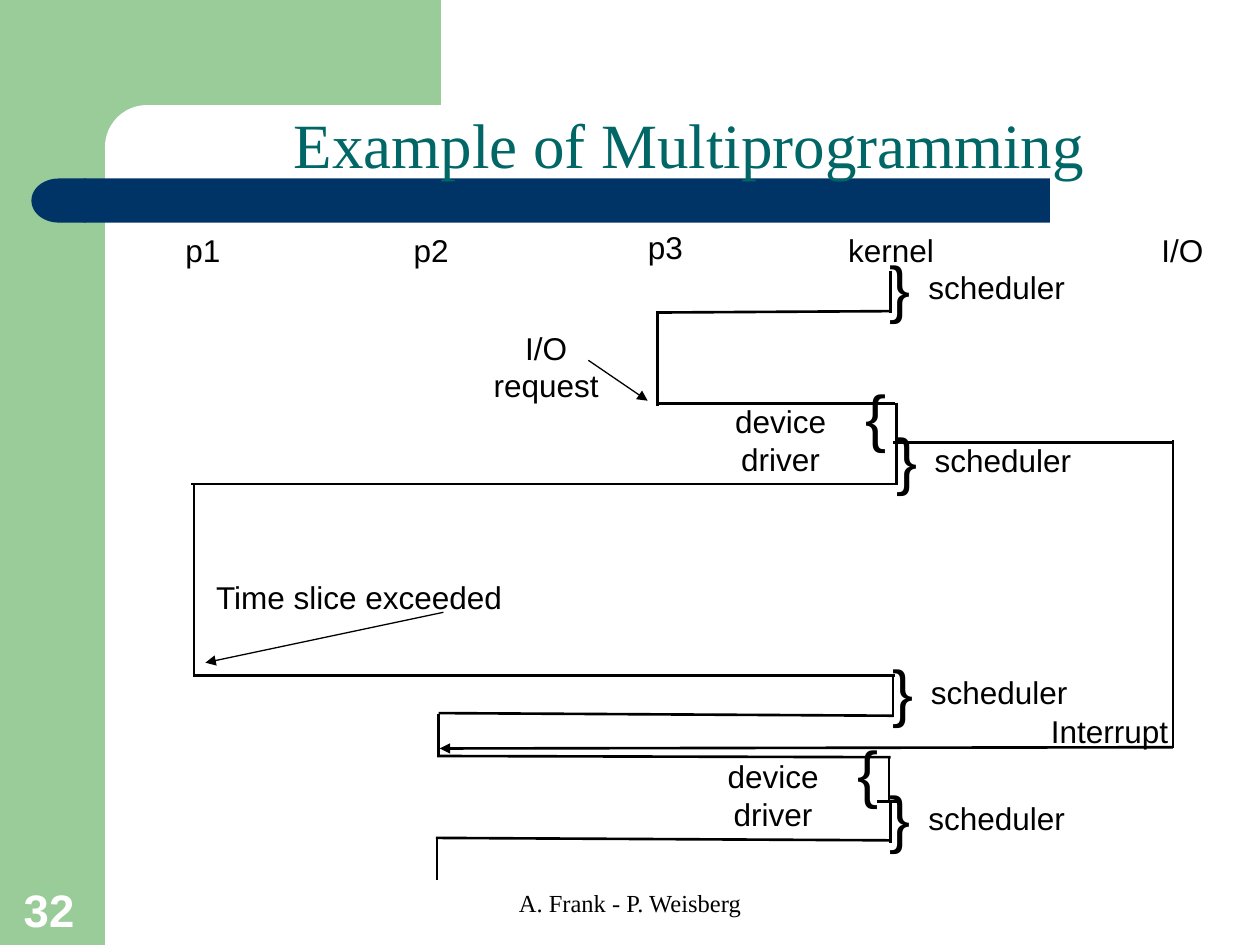
from pptx import Presentation
from pptx import util as u
from pptx.dml.color import RGBColor
from pptx.enum import shapes, text
from pptx.oxml.ns import qn
from lxml import etree

BLACK = RGBColor(0x00, 0x00, 0x00)
WHITE = RGBColor(0xFF, 0xFF, 0xFF)
GREEN = RGBColor(0x99, 0xCC, 0x99)
NAVY = RGBColor(0x00, 0x33, 0x66)
TEAL = RGBColor(0x00, 0x66, 0x66)
SERIF, SANS = "Times New Roman", "Arial"
LEFT, CENTER = text.PP_ALIGN.LEFT, text.PP_ALIGN.CENTER
TOP, BOTTOM = text.MSO_ANCHOR.TOP, text.MSO_ANCHOR.BOTTOM
RECT, ROUND, DELAY = (
    shapes.MSO_SHAPE.RECTANGLE,
    shapes.MSO_SHAPE.ROUNDED_RECTANGLE,
    shapes.MSO_SHAPE.FLOWCHART_DELAY,
)

PANELS = [
    (RECT, (0, 0, 60, 540), GREEN, None),
    (RECT, (54, 0, 198, 84), GREEN, None),
    (ROUND, (60, 60, 246, 48), WHITE, 0.5),
    (ROUND, (48, 102, 552, 25.2), NAVY, 0),
]
LABELS = [
    ("p1", 98.6, 128.2, 34.6),
    ("p2", 229, 128.2, 34.6),
    ("p3", 362.9, 126.7, 34.6),
    ("kernel", 477.4, 128.2, 63.4),
    ("I/O", 656.6, 128.2, 38.2),
    ("I/O request", 260.6, 184.3, 103),
    ("Time slice exceeded", 115.9, 326.9, 178.6),
    ("Interrupt", 593.3, 403.2, 81.4),
]
TRACE = [
    (509, 177.8, 375.8, 178.6),
    (375.8, 177.8, 375.8, 231.8),
    (511.2, 230.4, 375.8, 230.4),
    (670.3, 252.7, 510.5, 252.7),
    (511.2, 276.5, 109.4, 276.5),
    (110.9, 276.5, 110.9, 386.6),
    (511.2, 385.9, 110.2, 385.9),
    (510.5, 409, 250.6, 407.5),
    (250.6, 408.2, 250.6, 431.3),
    (670.3, 251.3, 670.3, 427.7),
    (509, 432.7, 249.8, 432),
    (501.1, 457.9, 514.1, 457.9),
    (508.3, 480.2, 249.1, 478.8),
    (249.8, 478.8, 249.8, 502.6),
]
ARROWS = [
    (670.3, 427, 251.3, 427.7, 1.5),
    (336.2, 205.9, 370.1, 229, 0.75),
    (253.4, 349.9, 117.4, 378.7, 0.75),
]
SCHEDULERS = [(523.4, 149.8), (527, 248.4), (524.9, 380.9), (523.4, 452.9)]
DRIVERS = [(388.1, 226.1), (383.8, 429.1)]


def points(values):
    """Turn numbers into lengths in points."""
    return [u.Pt(v) for v in values]


def apply(obj, values):
    """Set each named attribute of an object."""
    for name, value in values.items():
        setattr(obj, name, value)


def add_panel(s, kind, box, color, corner=None):
    """Add a plain filled shape without outline."""
    sp = s.shapes.add_shape(kind, *points(box))
    sp.shadow.inherit = False
    sp.fill.solid()
    sp.fill.fore_color.rgb = color
    sp.line.fill.background()
    if corner is not None:
        sp.adjustments[0] = corner
    return sp


def add_text(s, words, box, size=18, font=SANS, color=BLACK, bold=False,
             align=CENTER, anchor=TOP, wrap=False, inset=(7.2, 3.6)):
    """Add a one-line text box."""
    tf = s.shapes.add_textbox(*points(box)).text_frame
    dx, dy = points(inset)
    apply(tf, {"word_wrap": wrap, "vertical_anchor": anchor, "margin_left": dx,
               "margin_right": dx, "margin_top": dy, "margin_bottom": dy})
    p = tf.paragraphs[0]
    p.alignment = align
    r = p.add_run()
    r.text = words
    apply(r.font, {"size": u.Pt(size), "name": font, "bold": bold})
    r.font.color.rgb = color


def add_line(s, x1, y1, x2, y2, width=1.5, arrow=False):
    """Add a black line, with an arrowhead at its end if asked."""
    ln = s.shapes.add_connector(shapes.MSO_CONNECTOR.STRAIGHT, *points((x1, y1, x2, y2)))
    ln.line.width = u.Pt(width)
    ln.line.color.rgb = BLACK
    if arrow:
        etree.SubElement(ln.line._get_or_add_ln(), qn("a:tailEnd"), type="triangle")
    etree.SubElement(ln._element.spPr, qn("a:effectLst"))


def add_kernel_step(s, words, x, y, width, brace, brace_at, tick_at):
    """Add a label with its brace and its stretch of the kernel line."""
    tick_x, tick_y = x + tick_at[0], y + tick_at[1]
    add_line(s, tick_x, tick_y, tick_x, tick_y + 23.8)
    add_text(s, words, (x, y, width, 28.8))
    add_text(s, brace, (x + brace_at[0], y + brace_at[1], 25.9, 50.4), size=36)


def add_frame(s):
    """Add the coloured background, title, footer and slide number."""
    for panel in PANELS:
        add_panel(s, *panel)
    cap = add_panel(s, DELAY, (18, 102, 31, 25.2), NAVY)
    cap._element.spPr.xfrm.set("flipH", "1")
    add_text(s, "32", (6.5, 499.7, 46.1, 38.9), size=26, color=WHITE, bold=True,
             align=LEFT, anchor=BOTTOM, wrap=True)
    add_text(s, "A. Frank - P. Weisberg", (246, 504, 228, 36), size=14, font=SERIF, wrap=True)
    add_text(s, "Example of Multiprogramming", (67.7, 61.9, 652.3, 41.8), size=36,
             font=SERIF, color=TEAL, anchor=BOTTOM, wrap=True, inset=(0, 0))


def main():
    """Build the multiprogramming slide."""
    prs = Presentation()
    apply(prs, {"slide_width": u.Pt(720), "slide_height": u.Pt(540)})
    s = prs.slides.add_slide(prs.slide_layouts[6])
    add_frame(s)
    for segment in TRACE:
        add_line(s, *segment)
    for arrow in ARROWS:
        add_line(s, *arrow, arrow=True)
    for x, y in SCHEDULERS:
        add_kernel_step(s, "scheduler", x, y, 92.2, "}", (-22, -11.5), (-14.6, 5))
    for x, y in DRIVERS:
        add_kernel_step(s, "device driver", x, y, 115.9, "{", (99.4, -13.7), (124.2, 4))
    for words, x, y, width in LABELS:
        add_text(s, words, (x, y, width, 28.8))
    prs.save("out.pptx")


if __name__ == "__main__":
    main()
